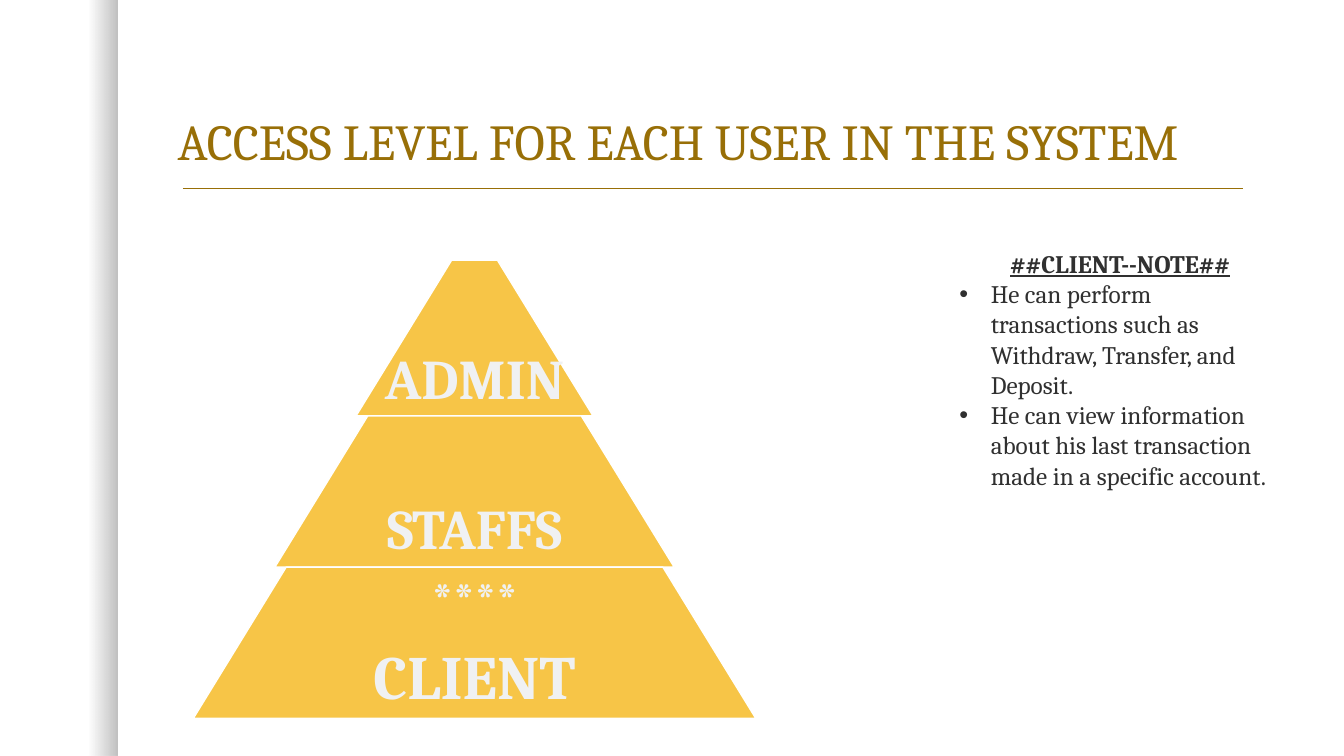
import pptx
import pptx.util
from lxml import etree
from pptx.dml.color import RGBColor
from pptx.enum.shapes import MSO_CONNECTOR, MSO_SHAPE
from pptx.enum.text import MSO_ANCHOR, PP_ALIGN
from pptx.oxml.ns import qn
from pptx.util import Cm, Pt

COLORS = {"page": "FFFFFF", "shade": "000000", "title": "986F07",
          "tier": "F7C547", "label": "F0F1F2", "note": "303030"}
FONT = "Cambria"


def color(name):
    return RGBColor.from_string(COLORS[name])


def add_text(left, top, width, height, lines, color_name, anchor, margin=0.25, bottom=0.13):
    """Add a text box; each line is (text, size, bold). Return its paragraphs."""
    box = page.shapes.add_textbox(Cm(left), Cm(top), Cm(width), Cm(height))
    frame = box.text_frame
    frame.word_wrap = True
    frame.vertical_anchor = anchor
    frame.margin_left = frame.margin_right = Cm(margin)
    frame.margin_bottom = Cm(bottom)
    frame.text = "\n".join(text for text, size, bold in lines)
    for para, (text, size, bold) in zip(frame.paragraphs, lines):
        para.font.name = FONT
        para.font.size = Pt(size)
        para.font.bold = bold
        para.font.color.rgb = color(color_name)
    return frame.paragraphs


deck = pptx.Presentation()
deck.slide_width, deck.slide_height = Cm(33.87), Cm(19.05)
page = deck.slides.add_slide(deck.slide_layouts[6])
page.background.fill.solid()
page.background.fill.fore_color.rgb = color("page")

# Shaded strip at the left edge
strip = page.shapes.add_shape(MSO_SHAPE.RECTANGLE, 0, 0, Cm(2.95), deck.slide_height)
strip.shadow.inherit = False
strip.line.fill.background()
strip.fill.gradient()
strip.fill.gradient_angle = 0
for stop, position, alpha in zip(strip.fill.gradient_stops, (0.75, 1), (0, 25000)):
    stop.position = position
    stop.color.rgb = color("shade")
    shade = stop._gs.find(qn("a:srgbClr"))
    etree.SubElement(shade, qn("a:alpha")).set("val", str(alpha))

# Title and rule
title = add_text(4.23, 1.07, 27.3, 3.38,
                 [("ACCESS LEVEL FOR EACH USER IN THE SYSTEM", 36, False)],
                 "title", MSO_ANCHOR.BOTTOM)
title[0].line_spacing = 0.9
rule = page.shapes.add_connector(MSO_CONNECTOR.STRAIGHT, Cm(4.61), Cm(4.75), Cm(31.32), Cm(4.75))
rule.line.color.rgb = color("title")
rule.line.width = Pt(1)
etree.SubElement(rule._element.spPr, qn("a:effectLst"))

# Pyramid: tiers stacked on one centre line
center, top = 11.96, 6.56
tiers = [
    (5.97, 3.92, 0.1, [("ADMIN", 40, True)]),
    (10.06, 3.81, 0.15, [("STAFFS", 40, True)]),
    (14.17, 3.81, 0.15, [("****", 36, False), ("CLIENT", 44, True)]),
]
for width, height, bottom, lines in tiers:
    left = center - width / 2
    tier = page.shapes.add_shape(MSO_SHAPE.TRAPEZOID, Cm(left), Cm(top), Cm(width), Cm(height))
    tier.adjustments[0] = 0.614
    tier.shadow.inherit = False
    tier.fill.solid()
    tier.fill.fore_color.rgb = color("tier")
    tier.line.color.rgb = color("page")
    tier.line.width = Pt(1)
    labels = add_text(left, top, width, height, lines, "label", MSO_ANCHOR.BOTTOM, 0, bottom)
    for label in labels:
        label.alignment = PP_ALIGN.CENTER
        label.line_spacing = 0.9
    for label in labels[:-1]:
        label.space_after = Pt(12.5)
    top += height

# Client note
heading, *points = add_text(23.93, 6.13, 8.6, 6.4, [
    ("##CLIENT--NOTE##", 18, True),
    ("He can perform transactions such as Withdraw, Transfer, and Deposit.", 18, False),
    ("He can view information about his last transaction made in a specific account.", 18, False),
], "note", MSO_ANCHOR.TOP)
heading.alignment = PP_ALIGN.CENTER
heading.font.underline = True
for point in points:
    properties = point._p.get_or_add_pPr()
    properties.set("marL", str(Cm(0.79)))
    properties.set("indent", str(-Cm(0.79)))
    bullet_font = etree.Element(qn("a:buFont"), typeface="Arial")
    bullet = etree.Element(qn("a:buChar"), char="•")
    properties.insert(0, bullet_font)
    properties.insert(1, bullet)

deck.save("out.pptx")
